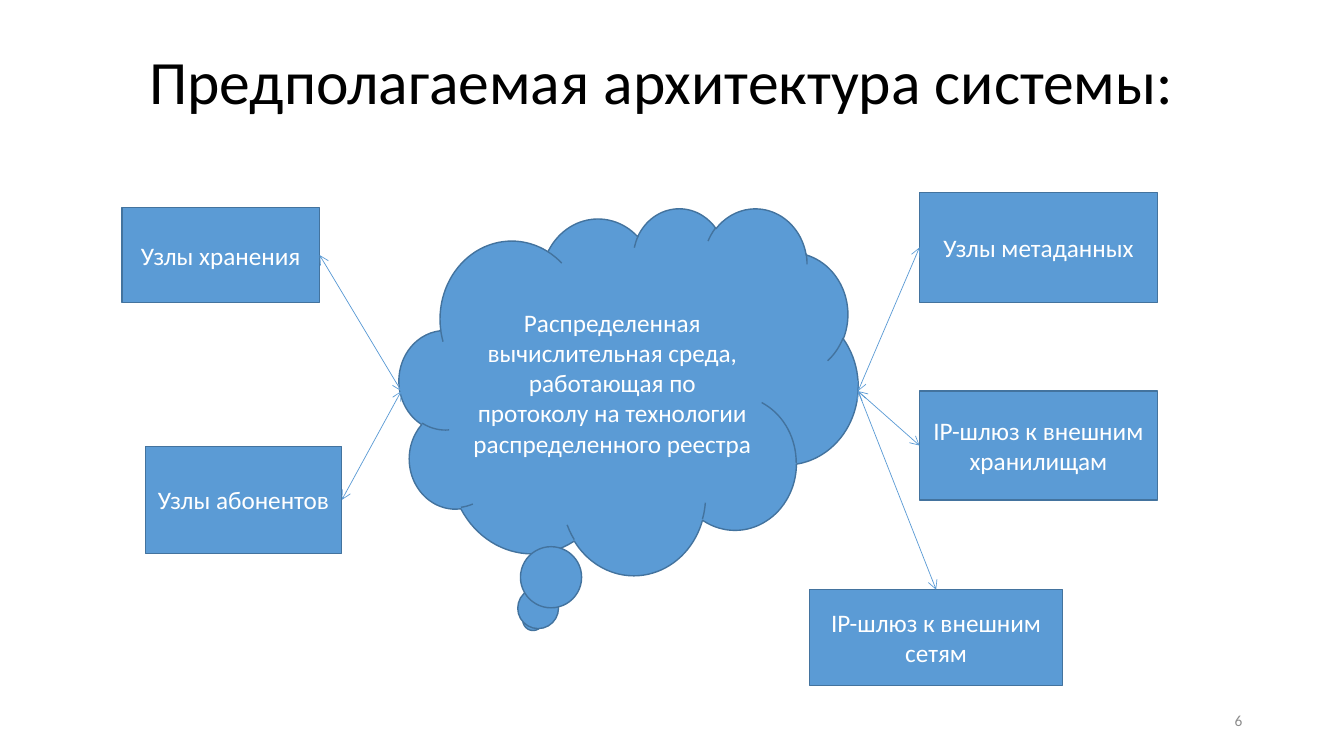
from pptx import Presentation
from pptx.dml.color import RGBColor
from pptx.enum.shapes import MSO_CONNECTOR as Connector, MSO_SHAPE as Shape
from pptx.enum.text import MSO_ANCHOR as Anchor, PP_ALIGN as Align
from pptx.oxml.ns import qn
from pptx.util import Inches, Pt
from lxml.etree import SubElement

BLUE = RGBColor(0x5B, 0x9B, 0xD5)
OUTLINE = RGBColor(0x43, 0x73, 0x9E)
WHITE = RGBColor(0xFF, 0xFF, 0xFF)
BLACK = RGBColor(0, 0, 0)
GRAY = RGBColor(0x8C, 0x8C, 0x8C)

TOP_SITE, LEFT_SITE, RIGHT_SITE = 0, 1, 3

TITLE = ("Предполагаемая архитектура системы:", (1.38, 0.4, 10.6, 0.87))
PAGE_NUMBER = ("6", (9.42, 6.95, 3, 0.4))
CLOUD = (
    "Распределенная вычислительная среда, работающая по протоколу "
    "на технологии распределенного реестра",
    (3.96, 2.06, 4.55, 3.64),
)
NODES = [
    ("Узлы хранения", (1.21, 2.06, 1.96, 0.94), RIGHT_SITE),
    ("Узлы абонентов", (1.44, 4.43, 1.95, 1.06), RIGHT_SITE),
    ("Узлы метаданных", (9.12, 1.91, 2.36, 1.09), LEFT_SITE),
    ("IP-шлюз к внешним хранилищам", (9.12, 3.88, 2.36, 1.08), LEFT_SITE),
    ("IP-шлюз к внешним сетям", (8.03, 5.85, 2.51, 0.95), TOP_SITE),
]


def write_text(shape, text, size=18, color=WHITE, align=Align.CENTER, spacing=1.0):
    frame = shape.text_frame
    frame.word_wrap = True
    frame.vertical_anchor = Anchor.MIDDLE
    paragraph = frame.paragraphs[0]
    paragraph.alignment = align
    paragraph.line_spacing = spacing
    run = paragraph.add_run()
    run.text = text
    run.font.name = "Calibri"
    run.font.size = Pt(size)
    run.font.color.rgb = color


def add_block(slide, kind, text, box):
    shape = slide.shapes.add_shape(kind, *map(Inches, box))
    shape.shadow.inherit = False
    shape.fill.solid()
    shape.fill.fore_color.rgb = BLUE
    shape.line.color.rgb = OUTLINE
    shape.line.width = Pt(1)
    write_text(shape, text)
    return shape


def add_double_arrow(slide, node, site, end_x, end_y):
    arrow = slide.shapes.add_connector(Connector.STRAIGHT, 0, 0, end_x, end_y)
    arrow.begin_connect(node, site)
    arrow.line.color.rgb = BLUE
    arrow.line.width = Pt(0.5)
    line = arrow.line._get_or_add_ln()
    for end in ("a:headEnd", "a:tailEnd"):
        SubElement(line, qn(end), type="arrow")
    SubElement(arrow._element.spPr, qn("a:effectLst"))


def main():
    presentation = Presentation()
    presentation.slide_width = Inches(13.33)
    presentation.slide_height = Inches(7.5)
    slide = presentation.slides.add_slide(presentation.slide_layouts[5])

    text, box = TITLE
    title = slide.shapes.title
    title.left, title.top, title.width, title.height = map(Inches, box)
    write_text(title, text, size=44, color=BLACK, align=Align.LEFT, spacing=0.9)

    text, box = PAGE_NUMBER
    page_number = slide.shapes.add_textbox(*map(Inches, box))
    write_text(page_number, text, size=11, color=GRAY, align=Align.RIGHT)

    cloud = add_block(slide, Shape.CLOUD_CALLOUT, *CLOUD)
    cloud_left = cloud.left + Inches(0.02)
    cloud_right = cloud.left + cloud.width
    cloud_middle = cloud.top + cloud.height // 2

    blocks = [(add_block(slide, Shape.RECTANGLE, text, box), site)
              for text, box, site in NODES]
    for node, site in blocks:
        cloud_side = cloud_left if site == RIGHT_SITE else cloud_right
        add_double_arrow(slide, node, site, cloud_side, cloud_middle)

    presentation.save("out.pptx")


if __name__ == "__main__":
    main()
